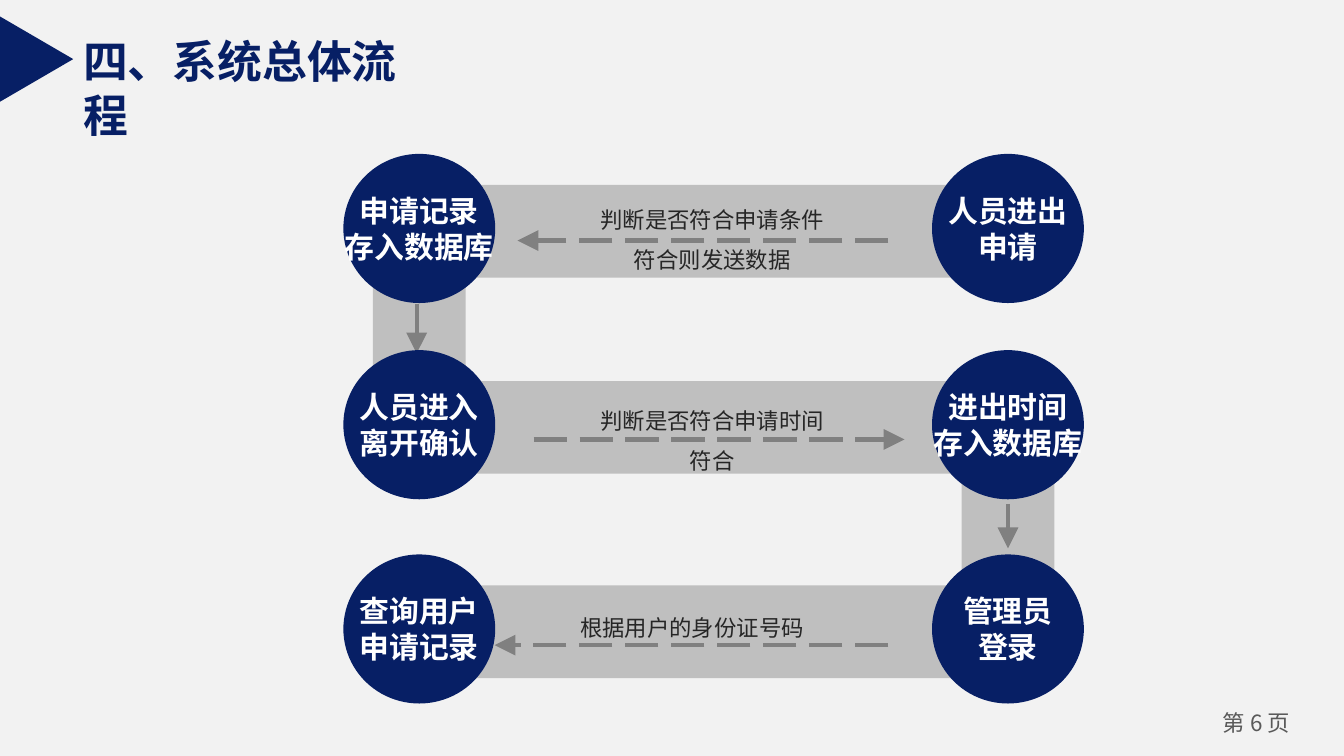
from lxml.etree import SubElement
from pptx import Presentation
from pptx.dml.color import RGBColor
from pptx.enum.dml import MSO_LINE
from pptx.enum.shapes import MSO_CONNECTOR, MSO_SHAPE
from pptx.enum.text import MSO_ANCHOR, PP_ALIGN
from pptx.oxml.ns import qn
from pptx.util import Inches, Pt

NAVY = RGBColor(0x07, 0x1F, 0x65)
WHITE = RGBColor(0xFF, 0xFF, 0xFF)
PAPER = RGBColor(0xF2, 0xF2, 0xF2)
BAND = RGBColor(0xBF, 0xBF, 0xBF)
ARROW = RGBColor(0x80, 0x80, 0x80)
LABEL = RGBColor(0x26, 0x26, 0x26)
FOOTER = RGBColor(0x59, 0x59, 0x59)
HEAD_FONT, BODY_FONT = "Arial", "Noto Sans CJK SC"

TITLE = "四、系统总体流程"
PAGE = "第 6 页"
# column, row, lines
STEPS = [
    (1, 0, ["人员进出", "申请"]),
    (0, 0, ["申请记录", "存入数据库"]),
    (0, 1, ["人员进入", "离开确认"]),
    (1, 1, ["进出时间", "存入数据库"]),
    (1, 2, ["管理员", "登录"]),
    (0, 2, ["查询用户", "申请记录"]),
]
# row, arrow start x, arrow end x, arrow y, label centre (x, y), lines
TRANSFERS = [
    (0, 6.61, 3.85, 1.79, (5.3, 1.73), ["判断是否符合申请条件", "符合则发送数据"]),
    (1, 3.97, 6.73, 3.27, (5.3, 3.23), ["判断是否符合申请时间", "符合"]),
    (2, 6.61, 3.68, 4.8, (5.15, 4.62), ["根据用户的身份证号码"]),
]
# column, upper row, arrow x, arrow start y, arrow end y
DESCENTS = [(0, 0, 3.1, 2.26, 2.63), (1, 1, 7.5, 3.75, 4.08)]

SLIDE_W = 10
SLIDE_H = SLIDE_W * 9 / 16
COLUMNS = [3.12, 7.5]
ROWS = [1.7, 3.16, 4.68]
STEP_W, STEP_H = 1.13, 1.11
BAND_SIZE, BAND_DROP = 0.69, 0.02
LABEL_W, LABEL_LINE_H = 2.91, 0.34

prs = Presentation()
prs.slide_width, prs.slide_height = Inches(SLIDE_W), Inches(SLIDE_H)
slide = prs.slides.add_slide(prs.slide_layouts[6])
slide.background.fill.solid()
slide.background.fill.fore_color.rgb = PAPER


def add_block(preset, center_x, center_y, width, height, color):
    block = slide.shapes.add_shape(
        preset, Inches(center_x - width / 2), Inches(center_y - height / 2),
        Inches(width), Inches(height))
    block.shadow.inherit = False
    block.fill.solid()
    block.fill.fore_color.rgb = color
    block.line.fill.background()
    return block


def add_arrow(x1, y1, x2, y2):
    arrow = slide.shapes.add_connector(
        MSO_CONNECTOR.STRAIGHT, Inches(x1), Inches(y1), Inches(x2), Inches(y2))
    arrow.line.color.rgb = ARROW
    arrow.line.width = Pt(2.25)
    arrow.line.dash_style = MSO_LINE.LONG_DASH
    SubElement(arrow.line._get_or_add_ln(), qn("a:tailEnd"),
               type="triangle", w="lg", len="lg")
    SubElement(arrow._element.spPr, qn("a:effectLst"))


def write(holder, lines, size, color, font=BODY_FONT, bold=False, spacing=None,
          align=PP_ALIGN.CENTER, anchor=MSO_ANCHOR.MIDDLE, wrap=True,
          insets=(0.07, 0.04)):
    frame = holder.text_frame
    frame.word_wrap = wrap
    frame.vertical_anchor = anchor
    frame.margin_left = frame.margin_right = Inches(insets[0])
    frame.margin_top = frame.margin_bottom = Inches(insets[1])
    for index, line in enumerate(lines):
        paragraph = frame.add_paragraph() if index else frame.paragraphs[0]
        paragraph.alignment = align
        if spacing:
            paragraph.line_spacing = spacing
        run = paragraph.add_run()
        run.text = line
        run.font.name, run.font.size, run.font.bold = font, Pt(size), bold
        run.font.color.rgb = color


def add_text(left, top, width, height, lines, size, color, **layout):
    box = slide.shapes.add_textbox(
        Inches(left), Inches(top), Inches(width), Inches(height))
    write(box, lines, size, color, **layout)


column_gap = COLUMNS[1] - COLUMNS[0]
for row, start, end, arrow_y, _, _ in TRANSFERS:
    add_block(MSO_SHAPE.RECTANGLE, sum(COLUMNS) / 2, ROWS[row] + BAND_DROP,
              column_gap, BAND_SIZE, BAND)
    add_arrow(start, arrow_y, end, arrow_y)

for column, row, arrow_x, start, end in DESCENTS:
    upper, lower = ROWS[row:row + 2]
    add_block(MSO_SHAPE.RECTANGLE, COLUMNS[column], (upper + lower) / 2,
              BAND_SIZE, lower - upper, BAND)
    add_arrow(arrow_x, start, arrow_x, end)

for column, row, lines in STEPS:
    step = add_block(MSO_SHAPE.OVAL, COLUMNS[column], ROWS[row],
                     STEP_W, STEP_H, NAVY)
    write(step, lines, 16, WHITE, font=HEAD_FONT, bold=True, wrap=False)

for *_, (center_x, center_y), lines in TRANSFERS:
    height = LABEL_LINE_H * len(lines)
    add_text(center_x - LABEL_W / 2, center_y - height / 2, LABEL_W, height,
             lines, 12, LABEL, spacing=1.5)

marker = add_block(MSO_SHAPE.ISOSCELES_TRIANGLE, 0.27, 0.44, 0.64, 0.55, NAVY)
marker.rotation = 90
add_text(0.52, 0.2, 2.85, 0.5, [TITLE], 24, NAVY, font=HEAD_FONT, bold=True,
         align=PP_ALIGN.LEFT, anchor=MSO_ANCHOR.TOP, insets=(0.1, 0.05))
add_text(8.9, 5.24, 0.9, 0.3, [PAGE], 12, FOOTER, anchor=MSO_ANCHOR.TOP)

prs.save("out.pptx")
